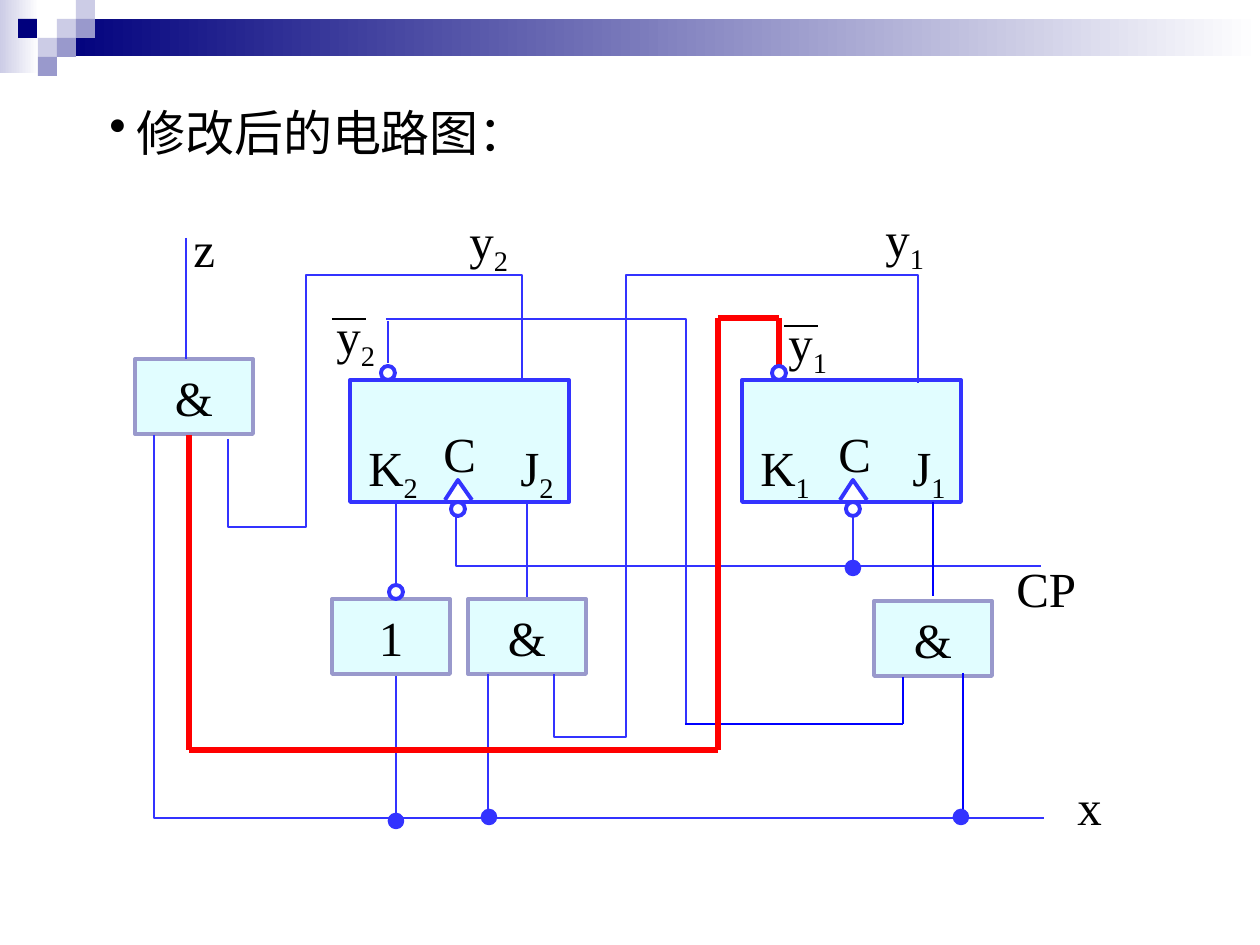
"""Build the slide showing the revised sequential circuit diagram."""
from dataclasses import dataclass
from itertools import pairwise

from lxml import etree
from pptx import Presentation
from pptx.dml.color import RGBColor
from pptx.enum.shapes import MSO_CONNECTOR, MSO_SHAPE
from pptx.enum.text import PP_ALIGN
from pptx.oxml.ns import qn
from pptx.util import Emu, Inches, Pt

RECT, OVAL = MSO_SHAPE.RECTANGLE, MSO_SHAPE.OVAL
STRAIGHT = MSO_CONNECTOR.STRAIGHT
CENTER = PP_ALIGN.CENTER
NAVY = RGBColor(0x00, 0x00, 0x7D)
LAVENDER = RGBColor(0xCC, 0xCC, 0xE6)
PERIWINKLE = RGBColor(0x99, 0x99, 0xCC)
ICE = RGBColor(0xE1, 0xFD, 0xFF)
WIRE_BLUE = RGBColor(0x33, 0x33, 0xFF)
BLUE = RGBColor(0x00, 0x00, 0xFF)
RED = RGBColor(0xFF, 0x00, 0x00)
BLACK = RGBColor(0x00, 0x00, 0x00)
WHITE = RGBColor(0xFF, 0xFF, 0xFF)
FONT = "Times New Roman"
EMU_PER_PX = 914400 / 126
TILE = 19
DOT = 14
LABEL_HEIGHT = 72

Point = tuple[int, int]


@dataclass(frozen=True)
class Label:
    left: int
    top: int
    width: int
    base: str
    subscript: str = ""


@dataclass(frozen=True)
class FlipFlop:
    left: int
    clock_x: int
    index: str


@dataclass(frozen=True)
class Gate:
    left: int
    top: int
    symbol: str


@dataclass(frozen=True)
class Wire:
    points: tuple[Point, ...]
    color: RGBColor = WIRE_BLUE
    weight: float = 1.5


TILES = (
    (57, 19, LAVENDER), (76, 0, LAVENDER), (76, 19, PERIWINKLE), (38, 38, LAVENDER),
    (18, 19, NAVY), (57, 38, PERIWINKLE), (38, 57, PERIWINKLE),
)
FLIP_FLOPS = (FlipFlop(350, 458, "2"), FlipFlop(742, 853, "1"))
GATES = (Gate(135, 359, "&"), Gate(332, 599, "1"), Gate(468, 599, "&"), Gate(874, 601, "&"))
LABELS = (
    Label(457, 204, 69, "y", "2"), Label(873, 202, 67, "y", "1"),
    Label(324, 299, 67, "y", "2"), Label(776, 306, 67, "y", "1"),
    Label(181, 212, 47, "z"), Label(1004, 552, 86, "CP"), Label(1065, 770, 60, "x"),
)
OVERLINES = (
    Wire(((332, 319), (366, 319)), BLACK), Wire(((784, 326), (818, 326)), BLACK),
)
ROUTES = (
    Wire(((228, 439), (228, 527), (306, 527), (306, 275), (522, 275), (522, 379))),
    Wire(((154, 435), (154, 818), (1044, 818))),
    Wire(((456, 516), (456, 566), (1041, 566))),
    Wire(((554, 674), (554, 737), (626, 737), (626, 275), (918, 275), (918, 383))),
    Wire(((386, 319), (686, 319), (686, 725))),
)
STRAIGHT_WIRES = (
    Wire(((396, 503), (396, 592))), Wire(((396, 676), (396, 821))),
    Wire(((488, 674), (488, 821))), Wire(((853, 516), (853, 569))),
    Wire(((186, 238), (186, 359))), Wire(((527, 503), (527, 597))),
    Wire(((388, 363), (388, 321)), weight=0.75),
    Wire(((933, 502), (933, 596)), BLUE), Wire(((963, 673), (963, 817)), BLUE),
    Wire(((685, 724), (903, 724), (903, 677)), BLUE),
    Wire(((189, 435), (189, 750), (718, 750), (718, 318), (779, 318), (779, 365)), RED, 3),
)
INVERSIONS = ((388, 373), (779, 373), (396, 592))
JUNCTIONS = ((396, 821), (489, 817), (961, 817), (853, 568))


def px(length: int) -> Emu:
    return Emu(round(length * EMU_PER_PX))


def add_block(shapes, kind, left: int, top: int, width: int, height: int,
              fill: RGBColor, line: RGBColor | None = None, weight: float = 2.25):
    block = shapes.add_shape(kind, px(left), px(top), px(width), px(height))
    block.shadow.inherit = False
    block.fill.solid()
    block.fill.fore_color.rgb = fill
    if line is None:
        block.line.fill.background()
    else:
        block.line.color.rgb = line
        block.line.width = Pt(weight)
    return block


def add_fading_bar(shapes, left: int, top: int, width: int, height: int, start: RGBColor) -> None:
    bar = add_block(shapes, RECT, left, top, width, height, start)
    bar.fill.gradient()
    bar.fill.gradient_angle = 0
    for stop, color in zip(bar.fill.gradient_stops, (start, WHITE)):
        stop.color.rgb = color


def style_font(font) -> None:
    font.name = FONT
    font.size = Pt(28)
    font.color.rgb = BLACK


def add_label(shapes, label: Label):
    box = shapes.add_textbox(px(label.left), px(label.top), px(label.width), px(LABEL_HEIGHT))
    box.text_frame.word_wrap = False
    paragraph = box.text_frame.paragraphs[0]
    paragraph.text = label.base
    if label.subscript:
        subscript = paragraph.add_run()
        subscript.text = label.subscript
        subscript.font._element.set("baseline", "-25000")
    for run in paragraph.runs:
        style_font(run.font)
    return paragraph


def add_heading(shapes, text: str) -> None:
    paragraph = add_label(shapes, Label(97, 96, 447, text))
    properties = paragraph._p.get_or_add_pPr()
    properties.set("marL", str(px(27)))
    properties.set("indent", str(-px(27)))
    etree.SubElement(properties, qn("a:buChar"), char="•")


def add_dot(shapes, center: Point, fill: RGBColor, weight: float) -> None:
    x, y = center
    add_block(shapes, OVAL, x - DOT // 2, y - DOT // 2, DOT, DOT, fill, WIRE_BLUE, weight)


def add_route(shapes, wire: Wire, fill: RGBColor | None = None) -> None:
    start, *rest = [(px(x), px(y)) for x, y in wire.points]
    builder = shapes.build_freeform(*start)
    builder.add_line_segments(rest, close=False)
    route = builder.convert_to_shape()
    route.shadow.inherit = False
    if fill is None:
        route.fill.background()
    else:
        route.fill.solid()
        route.fill.fore_color.rgb = fill
    route.line.color.rgb = wire.color
    route.line.width = Pt(wire.weight)


def add_straight_wire(shapes, wire: Wire) -> None:
    for start, end in pairwise(wire.points):
        segment = shapes.add_connector(STRAIGHT, *map(px, start + end))
        segment.line.color.rgb = wire.color
        segment.line.width = Pt(wire.weight)
        etree.SubElement(segment._element.spPr, qn("a:effectLst"))


def add_flip_flop(shapes, flip_flop: FlipFlop) -> None:
    left, clock_x, index = flip_flop.left, flip_flop.clock_x, flip_flop.index
    add_block(shapes, RECT, left, 380, 219, 122, ICE, WIRE_BLUE)
    add_label(shapes, Label(left + 6, 431, 77, "K", index))
    add_label(shapes, Label(clock_x - 27, 417, 58, "C"))
    add_label(shapes, Label(left + 158, 431, 60, "J", index))
    edge = ((clock_x - 13, 500), (clock_x, 480), (clock_x + 14, 500))
    add_route(shapes, Wire(edge, weight=2.25), WHITE)


def add_gate(shapes, gate: Gate) -> None:
    block = add_block(shapes, RECT, gate.left, gate.top, 118, 75, ICE, PERIWINKLE)
    paragraph = block.text_frame.paragraphs[0]
    paragraph.text = gate.symbol
    paragraph.alignment = CENTER
    style_font(paragraph.runs[0].font)


def main() -> None:
    deck = Presentation()
    deck.slide_width, deck.slide_height = Inches(10), Inches(7.5)
    shapes = deck.slides.add_slide(deck.slide_layouts[6]).shapes
    add_fading_bar(shapes, 0, 0, 39, 73, LAVENDER)
    add_fading_bar(shapes, 57, 19, 1203, 37, NAVY)
    for left, top, color in TILES:
        add_block(shapes, RECT, left, top, TILE, TILE, color)
    add_heading(shapes, "修改后的电路图：")
    for flip_flop in FLIP_FLOPS:
        add_flip_flop(shapes, flip_flop)
    for gate in GATES:
        add_gate(shapes, gate)
    for label in LABELS:
        add_label(shapes, label)
    for route in ROUTES:
        add_route(shapes, route)
    for wire in OVERLINES + STRAIGHT_WIRES:
        add_straight_wire(shapes, wire)
    clock_inversions = tuple((flip_flop.clock_x, 509) for flip_flop in FLIP_FLOPS)
    for center in INVERSIONS + clock_inversions:
        add_dot(shapes, center, WHITE, 2.25)
    for center in JUNCTIONS:
        add_dot(shapes, center, WIRE_BLUE, 1.5)
    deck.save("out.pptx")


if __name__ == "__main__":
    main()
